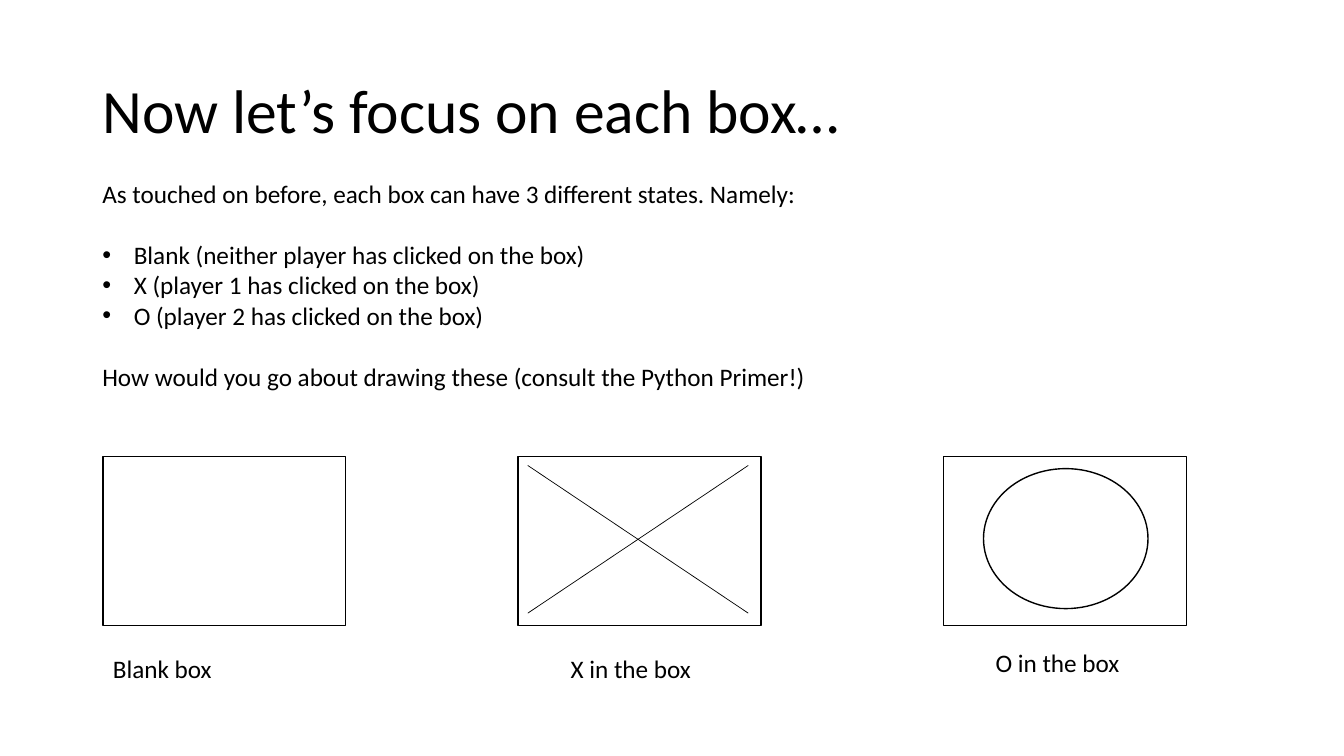
from dataclasses import dataclass

from lxml import etree
from pptx import Presentation
from pptx.dml.color import RGBColor
from pptx.enum.shapes import MSO_CONNECTOR, MSO_SHAPE
from pptx.enum.text import MSO_ANCHOR, MSO_AUTO_SIZE, PP_ALIGN
from pptx.oxml.ns import qn
from pptx.util import Pt

RECT, OVAL = MSO_SHAPE.RECTANGLE, MSO_SHAPE.OVAL
STRAIGHT = MSO_CONNECTOR.STRAIGHT
LEFT, MIDDLE = PP_ALIGN.LEFT, MSO_ANCHOR.MIDDLE
FIT_SHAPE = MSO_AUTO_SIZE.SHAPE_TO_FIT_TEXT


@dataclass(frozen=True)
class Theme:
    font: str = "Calibri"
    ink: RGBColor = RGBColor(0, 0, 0)
    paper: RGBColor = RGBColor(255, 255, 255)
    title: int = 44
    body: int = 18


theme = Theme()


def add_run(p, text, size):
    p.alignment = LEFT
    r = p.add_run()
    r.text = text
    r.font.name = theme.font
    r.font.size = Pt(size)
    r.font.color.rgb = theme.ink


def add_outline(kind, left, top, width, height):
    sp = s.shapes.add_shape(kind, Pt(left), Pt(top), Pt(width), Pt(height))
    sp.shadow.inherit = False
    sp.line.color.rgb = theme.ink
    sp.line.width = Pt(1)
    return sp


prs = Presentation()
prs.slide_width, prs.slide_height = Pt(960), Pt(540)
s = prs.slides.add_slide(prs.slide_layouts[5])

# Title
title = s.shapes.title
title.left, title.top, title.width, title.height = Pt(66), Pt(28.75), Pt(828), Pt(104.4)
tf = title.text_frame
tf.vertical_anchor = MIDDLE
tf.paragraphs[0].line_spacing = 0.9
add_run(tf.paragraphs[0], "Now let’s focus on each box…", theme.title)

# Explanation: (text, bulleted, space before)
LINE = 22
INDENT = Pt(22.5)
paragraphs = [
    ("As touched on before, each box can have 3 different states. Namely:", False, 0),
    ("Blank (neither player has clicked on the box)", True, LINE),
    ("X (player 1 has clicked on the box)", True, 0),
    ("O (player 2 has clicked on the box)", True, 0),
    ("How would you go about drawing these (consult the Python Primer!)", False, LINE),
]
tf = s.shapes.add_textbox(Pt(66), Pt(124), Pt(797), Pt(160)).text_frame
tf.word_wrap = True
tf.auto_size = FIT_SHAPE
for i, (text, bulleted, before) in enumerate(paragraphs):
    p = tf.add_paragraph() if i else tf.paragraphs[0]
    add_run(p, text, theme.body)
    p.space_before = Pt(before)
    if bulleted:
        pPr = p._p.get_or_add_pPr()
        pPr.set("marL", str(INDENT))
        pPr.set("indent", str(-INDENT))
        etree.SubElement(pPr, qn("a:buFont"), typeface="Arial")
        etree.SubElement(pPr, qn("a:buChar"), char="•")

# Three boxes with captions: (box left, caption left, caption top, caption)
BOX_TOP, BOX_W, BOX_H = 326, 173.5, 121
states = [
    (73.5, 73.5, 463, "Blank box"),
    (370, 400.5, 463, "X in the box"),
    (674, 704, 458.5, "O in the box"),
]
for box_left, caption_left, caption_top, caption in states:
    add_outline(RECT, box_left, BOX_TOP, BOX_W, BOX_H).fill.background()
    tf = s.shapes.add_textbox(Pt(caption_left), Pt(caption_top), Pt(BOX_W), Pt(29)).text_frame
    tf.word_wrap = True
    tf.auto_size = FIT_SHAPE
    add_run(tf.paragraphs[0], caption, theme.body)

# X mark
X_LEFT, X_RIGHT, X_TOP, X_BOTTOM = 377, 534.5, 332.5, 438
for start, end in [(X_TOP, X_BOTTOM), (X_BOTTOM, X_TOP)]:
    stroke = s.shapes.add_connector(STRAIGHT, Pt(X_LEFT), Pt(start), Pt(X_RIGHT), Pt(end))
    stroke.line.color.rgb = theme.ink
    stroke.line.width = Pt(0.5)
    etree.SubElement(stroke._element.spPr, qn("a:effectLst"))

# O mark
o_mark = add_outline(OVAL, 702.5, 334.75, 117.5, 100)
o_mark.fill.solid()
o_mark.fill.fore_color.rgb = theme.paper

prs.save("out.pptx")
